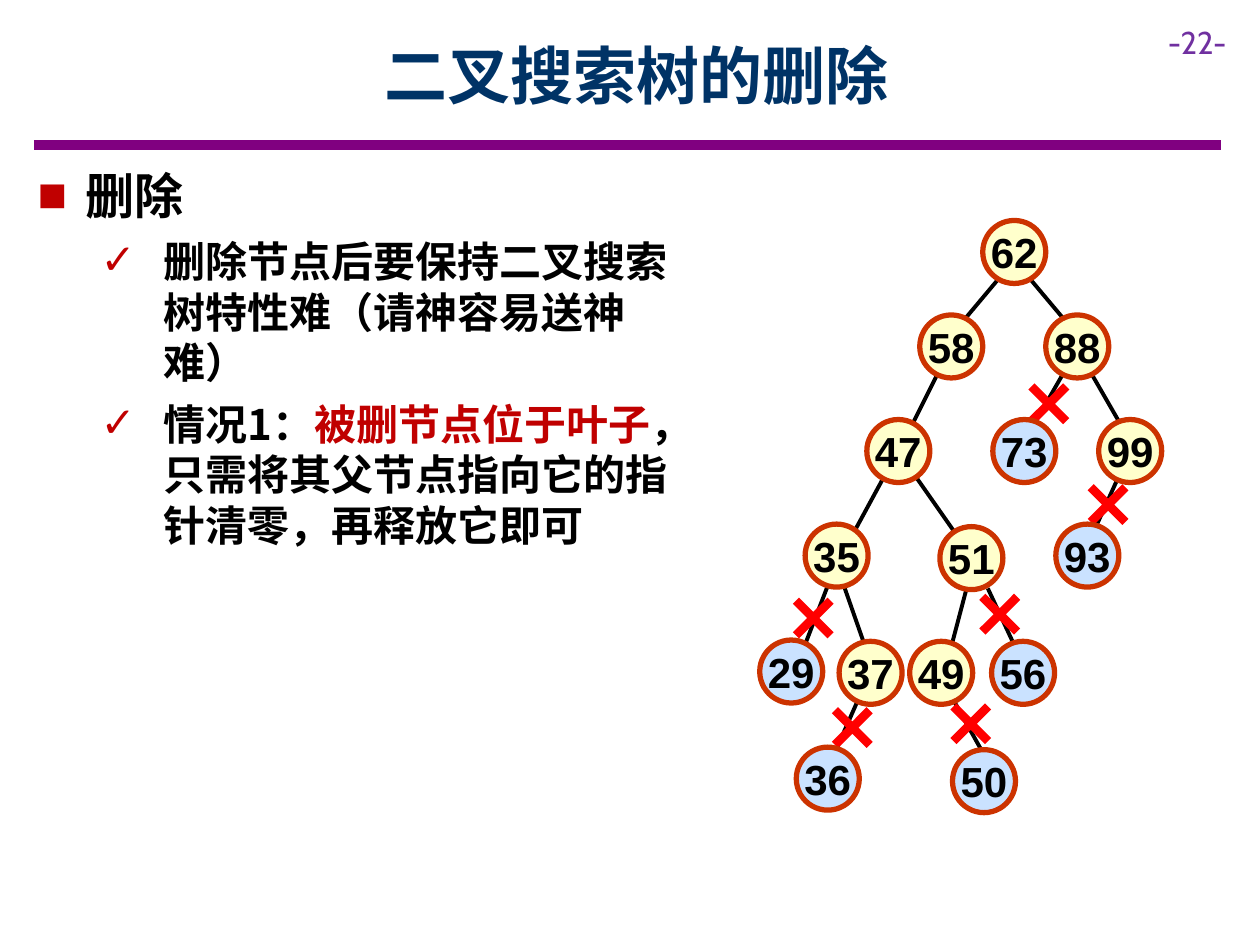
from dataclasses import dataclass

from lxml import etree
from pptx import Presentation
from pptx.dml.color import RGBColor
from pptx.enum.shapes import MSO_CONNECTOR, MSO_SHAPE
from pptx.enum.text import MSO_ANCHOR, PP_ALIGN
from pptx.oxml.ns import qn
from pptx.util import Inches, Pt

OVAL, CROSS = MSO_SHAPE.OVAL, MSO_SHAPE.MATH_MULTIPLY
STRAIGHT = MSO_CONNECTOR.STRAIGHT
CENTER, LEFT = PP_ALIGN.CENTER, PP_ALIGN.LEFT
MIDDLE, TOP = MSO_ANCHOR.MIDDLE, MSO_ANCHOR.TOP

BLACK = RGBColor(0x00, 0x00, 0x00)
NAVY = RGBColor(0x00, 0x33, 0x66)
PURPLE = RGBColor(0x80, 0x00, 0x80)
VIOLET = RGBColor(0x70, 0x30, 0xA0)
CRIMSON = RGBColor(0xC0, 0x00, 0x00)
RED = RGBColor(0xFF, 0x00, 0x00)
RUST = RGBColor(0xCC, 0x33, 0x00)
CREAM = RGBColor(0xFF, 0xFF, 0xCC)
SKY = RGBColor(0xCA, 0xE2, 0xFF)
HAN, SANS, PAGE = "Noto Sans CJK SC", "Arial", "Cabin"

# The slide is a grid of 100 columns by 75 rows
WIDTH, HEIGHT = Inches(10), Inches(7.5)
UNIT = WIDTH / 100
NODE, MARK = 5, 5.3


@dataclass
class Node:
    key: int
    col: float
    row: float
    leaf: bool = False


@dataclass
class Edge:
    x1: float
    y1: float
    x2: float
    y2: float


@dataclass
class Item:
    runs: list[tuple[str, RGBColor]]
    size: int
    pitch: int
    sign: str
    left: float
    hang: float


NODES = [
    Node(62, 78, 17.5),
    Node(58, 73, 25), Node(88, 83, 25),
    Node(47, 68.8, 33.3), Node(99, 87.2, 33.3),
    Node(35, 63.9, 41.6), Node(51, 74.6, 41.8),
    Node(37, 66.6, 50.9), Node(49, 72.2, 50.9),
    Node(73, 78.8, 33.3, True), Node(93, 83.8, 41.6, True),
    Node(29, 60.3, 50.8, True), Node(56, 78.7, 50.9, True),
    Node(36, 63.2, 59.3, True), Node(50, 75.6, 59.5, True),
]
EDGES = [
    Edge(79.7, 21.6, 75.5, 26.6), Edge(81.3, 21.6, 85.5, 26.6),
    Edge(74.7, 29.1, 72.2, 34.1), Edge(86.3, 29.1, 89.7, 35),
    Edge(84.7, 29.1, 81.3, 35), Edge(89.7, 35.8, 86.3, 43.3),
    Edge(70.4, 37.4, 67.2, 43.3), Edge(72.1, 37, 76.3, 43),
    Edge(66, 45.7, 63.3, 52.7), Edge(66.7, 45.7, 68.8, 51.7),
    Edge(76.9, 46, 75.4, 51.7), Edge(78.4, 46.7, 81.2, 52.7),
    Edge(69, 53.5, 65.7, 61), Edge(75.3, 54.9, 78.6, 60.8),
]
CUTS = [(61.9, 46.4), (65, 55.1), (74.4, 54.8),
        (76.7, 46.1), (80.6, 29.4), (85.3, 37.4)]
ITEMS = [
    Item([("删除", BLACK)], 28, 34, "■", 3.8, 3.8),
    Item([("删除节点后要保持二叉搜索树特性难（请神容易送神难）", BLACK)],
         24, 29, "✓", 10, 5),
    Item([("情况1：", BLACK), ("被删节点位于叶子", CRIMSON),
          ("，只需将其父节点指向它的指针清零，再释放它即可", BLACK)],
         24, 29, "✓", 10, 5),
]


def grid(*spans: float) -> list[int]:
    return [round(span * UNIT) for span in spans]


def style(para, name: str, size: int, color: RGBColor, bold: bool) -> None:
    font = para.font
    font.size, font.bold, font.name = Pt(size), bold, name
    font.color.rgb = color
    # East Asian characters take the same font
    props = para._p.pPr.find(qn("a:defRPr"))
    etree.SubElement(props, qn("a:ea")).set("typeface", name)


def label(slide, box: tuple, text: str, name: str, size: int,
          color: RGBColor, bold=False, align=LEFT, anchor=TOP) -> None:
    frame = slide.shapes.add_textbox(*grid(*box)).text_frame
    frame.word_wrap, frame.vertical_anchor = True, anchor
    para = frame.paragraphs[0]
    para.text, para.alignment = text, align
    style(para, name, size, color, bold)


def bullet(para, item: Item) -> None:
    props = para._p.get_or_add_pPr()
    left, hang = grid(item.left, item.hang)
    props.set("marL", str(left))
    props.set("indent", str(-hang))
    color = etree.SubElement(props, qn("a:buClr"))
    etree.SubElement(color, qn("a:srgbClr")).set("val", str(CRIMSON))
    etree.SubElement(props, qn("a:buFont")).set("typeface", SANS)
    etree.SubElement(props, qn("a:buChar")).set("char", item.sign)


def outline(slide, box: tuple, items: list[Item]) -> None:
    frame = slide.shapes.add_textbox(*grid(*box)).text_frame
    frame.word_wrap = True
    for i, item in enumerate(items):
        para = frame.add_paragraph() if i else frame.paragraphs[0]
        bullet(para, item)
        para.line_spacing, para.space_after = Pt(item.pitch), Pt(6)
        style(para, HAN, item.size, BLACK, True)
        for text, color in item.runs:
            run = para.add_run()
            run.text = text
            if color != BLACK:
                run.font.color.rgb = color


def line(slide, edge: Edge, color: RGBColor, width: float) -> None:
    ends = grid(edge.x1, edge.y1, edge.x2, edge.y2)
    link = slide.shapes.add_connector(STRAIGHT, *ends)
    link.line.color.rgb, link.line.width = color, Pt(width)
    etree.SubElement(link._element.spPr, qn("a:effectLst"))


def circle(slide, node: Node) -> None:
    shape = slide.shapes.add_shape(OVAL, *grid(node.col, node.row, NODE, NODE))
    shape.shadow.inherit = False
    shape.fill.solid()
    shape.fill.fore_color.rgb = SKY if node.leaf else CREAM
    shape.line.color.rgb, shape.line.width = RUST, Pt(3)
    frame = shape.text_frame
    frame.margin_left = frame.margin_right = 0
    frame.margin_top = frame.margin_bottom = 0
    frame.word_wrap, frame.vertical_anchor = False, MIDDLE
    para = frame.paragraphs[0]
    para.text, para.alignment = str(node.key), CENTER
    style(para, SANS, 24, BLACK, True)


def cut(slide, col: float, row: float) -> None:
    shape = slide.shapes.add_shape(CROSS, *grid(col, row, MARK, MARK))
    shape.shadow.inherit = False
    shape.adjustments[0] = 0.13
    shape.fill.solid()
    shape.fill.fore_color.rgb = RED
    shape.line.fill.background()


def main() -> None:
    deck = Presentation()
    deck.slide_width, deck.slide_height = WIDTH, HEIGHT
    slide = deck.slides.add_slide(deck.slide_layouts[6])

    # Heading, rule and page number
    line(slide, Edge(2.7, 11.5, 96.9, 11.5), PURPLE, 6)
    label(slide, (91.7, 1.3, 8.3, 4), "-22-", PAGE, 18, VIOLET)
    label(slide, (9, 0.9, 83.1, 10), "二叉搜索树的删除", HAN, 36, NAVY,
          True, CENTER, MIDDLE)

    # Outline on the left
    outline(slide, (2, 12.6, 52.8, 32.5), ITEMS)

    # Tree: edges, kept nodes, cuts, then the removed leaves
    for edge in EDGES:
        line(slide, edge, BLACK, 2.25)
    for node in NODES:
        if not node.leaf:
            circle(slide, node)
    for col, row in CUTS:
        cut(slide, col, row)
    for node in NODES:
        if node.leaf:
            circle(slide, node)

    deck.save("out.pptx")


if __name__ == "__main__":
    main()
